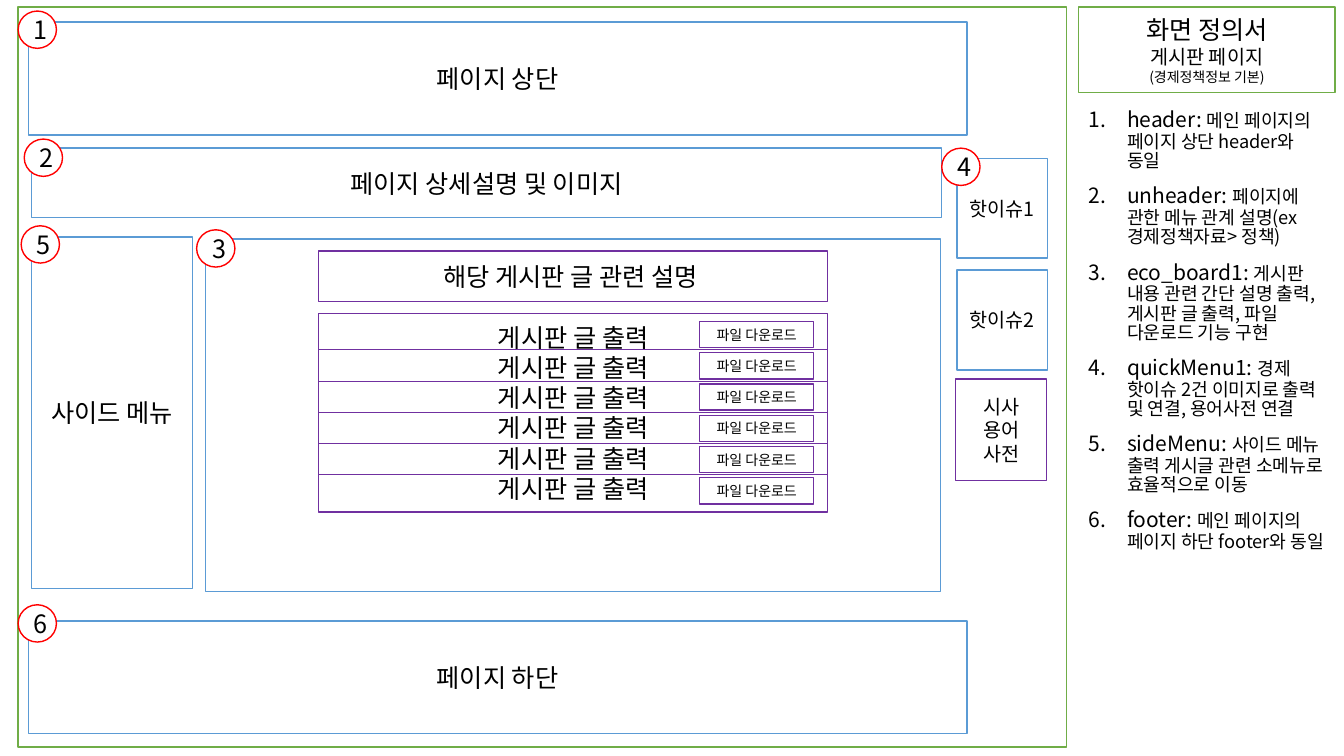
from lxml import etree
from pptx import Presentation
from pptx.dml.color import RGBColor
from pptx.enum.shapes import MSO_CONNECTOR, MSO_SHAPE
from pptx.enum.text import MSO_ANCHOR, PP_ALIGN
from pptx.oxml.ns import qn
from pptx.util import Inches, Pt

RECTANGLE = MSO_SHAPE.RECTANGLE
CIRCLE = MSO_SHAPE.FLOWCHART_CONNECTOR
STRAIGHT = MSO_CONNECTOR.STRAIGHT
MIDDLE = MSO_ANCHOR.MIDDLE
CENTER = PP_ALIGN.CENTER

BLACK = RGBColor(0x00, 0x00, 0x00)
WHITE = RGBColor(0xFF, 0xFF, 0xFF)
GREEN = RGBColor(0x70, 0xAD, 0x47)
BLUE = RGBColor(0x5B, 0x9B, 0xD5)
PURPLE = RGBColor(0x70, 0x30, 0xA0)
RED = RGBColor(0xFF, 0x00, 0x00)


class Wireframe:
    """Holds the style and the current slide."""

    font_name = "Noto Sans CJK KR"

    def __init__(self, slide):
        self.slide = slide

    def add_run(self, paragraph, text, size):
        run = paragraph.add_run()
        run.text = text
        style = {"name": self.font_name, "size": Pt(size)}
        for attribute, value in style.items():
            setattr(run.font, attribute, value)
        run.font.color.rgb = BLACK
        east_asian = etree.SubElement(run.font._element, qn("a:ea"))
        east_asian.set("typeface", self.font_name)

    def add_box(self, position, color, lines=(), outline=RECTANGLE):
        """Outlined shape; lines is a sequence of (text, size)."""
        shape = self.slide.shapes.add_shape(outline, *map(Inches, position))
        shape.shadow.inherit = False
        shape.fill.solid()
        shape.fill.fore_color.rgb = WHITE
        shape.line.color.rgb = color
        shape.line.width = Pt(1)
        frame = shape.text_frame
        frame.word_wrap = True
        frame.vertical_anchor = MIDDLE
        for index, (text, size) in enumerate(lines):
            paragraph = frame.add_paragraph() if index else frame.paragraphs[0]
            paragraph.alignment = CENTER
            self.add_run(paragraph, text, size)

    def add_badge(self, number, left, top):
        self.add_box((left, top, 0.38, 0.37), RED, [(str(number), 18)], CIRCLE)

    def add_divider(self, left, right, top):
        line = self.slide.shapes.add_connector(
            STRAIGHT, Inches(left), Inches(top), Inches(right), Inches(top))
        line.line.color.rgb = PURPLE
        line.line.width = Pt(0.5)
        etree.SubElement(line._element.spPr, qn("a:effectLst"))

    def add_numbered_list(self, position, items):
        text_box = self.slide.shapes.add_textbox(*map(Inches, position))
        frame = text_box.text_frame
        frame.word_wrap = True
        for index, (name, description) in enumerate(items):
            paragraph = frame.add_paragraph() if index else frame.paragraphs[0]
            properties = paragraph._p.get_or_add_pPr()
            properties.set("marL", str(Inches(0.38)))
            properties.set("indent", str(-Inches(0.38)))
            numbering = etree.SubElement(properties, qn("a:buAutoNum"))
            numbering.set("type", "arabicPeriod")
            spacing = {"line_spacing": 0.9, "space_before": Pt(10 if index else 0)}
            for attribute, value in spacing.items():
                setattr(paragraph, attribute, value)
            self.add_run(paragraph, f"{name}: ", 15)
            self.add_run(paragraph, description, 13)


PAGE_AREAS = [
    ((0.28, 0.22, 9.31, 1.12), BLUE, "페이지 상단", 18),
    ((0.31, 1.47, 9.03, 0.69), BLUE, "페이지 상세설명 및 이미지", 18),
    ((0.31, 2.35, 1.6, 3.49), BLUE, "사이드 메뉴", 18),
    ((0.28, 6.16, 9.31, 1.12), BLUE, "페이지 하단", 18),
    ((9.49, 1.57, 0.9, 0.99), BLUE, "핫이슈1", 14),
    ((9.49, 2.68, 0.9, 0.99), BLUE, "핫이슈2", 14),
    ((9.48, 3.76, 0.9, 1.01), PURPLE, "시사 용어 사전", 14),
    ((3.16, 2.49, 5.05, 0.5), PURPLE, "해당 게시판 글 관련 설명 ", 18),
]
BADGES = [(0.18, 0.11), (0.24, 1.38), (1.95, 2.28),
          (9.34, 1.47), (0.21, 2.24), (0.18, 6)]
DEFINITIONS = [
    ("header", "메인 페이지의 페이지 상단 header와 동일"),
    ("unheader", "페이지에 관한 메뉴 관계 설명(ex 경제정책자료> 정책)"),
    ("eco_board1", "게시판 내용 관련 간단 설명 출력, 게시판 글 출력, 파일 다운로드 기능 구현"),
    ("quickMenu1", "경제 핫이슈 2건 이미지로 출력 및 연결, 용어사전 연결"),
    ("sideMenu", "사이드 메뉴 출력 게시글 관련 소메뉴로 효율적으로 이동"),
    ("footer", "메인 페이지의 페이지 하단 footer와 동일"),
]
POST_COUNT = 6
ROW_HEIGHT = 0.31


def main():
    presentation = Presentation()
    presentation.slide_width = Inches(13.33)
    presentation.slide_height = Inches(7.5)
    slide = presentation.slides.add_slide(presentation.slide_layouts[6])
    wireframe = Wireframe(slide)

    # Page frame, board frame and labelled areas
    wireframe.add_box((0.18, 0.07, 10.4, 7.34), GREEN)
    wireframe.add_box((2.04, 2.37, 7.29, 3.5), BLUE)
    for position, color, text, size in PAGE_AREAS:
        wireframe.add_box(position, color, [(text, size)])

    # Board posts with download buttons and dividers
    wireframe.add_box((3.16, 3.11, 5.05, 1.97), PURPLE,
                      [("게시판 글 출력", 18)] * POST_COUNT)
    for row in range(POST_COUNT):
        offset = row * ROW_HEIGHT
        wireframe.add_box((6.94, 3.19 + offset, 1.13, 0.26), PURPLE,
                          [("파일 다운로드", 10)])
        if row < POST_COUNT - 1:
            wireframe.add_divider(3.16, 8.21, 3.47 + offset)

    # Numbered badges
    for number, (left, top) in enumerate(BADGES, start=1):
        wireframe.add_badge(number, left, top)

    # Title and definitions on the right
    wireframe.add_box((10.7, 0.07, 2.54, 0.85), GREEN, [
        ("화면 정의서", 18), ("게시판 페이지", 14), ("(경제정책정보 기본)", 10)])
    wireframe.add_numbered_list((10.7, 1.04, 2.54, 6.23), DEFINITIONS)

    presentation.save("out.pptx")


if __name__ == "__main__":
    main()
